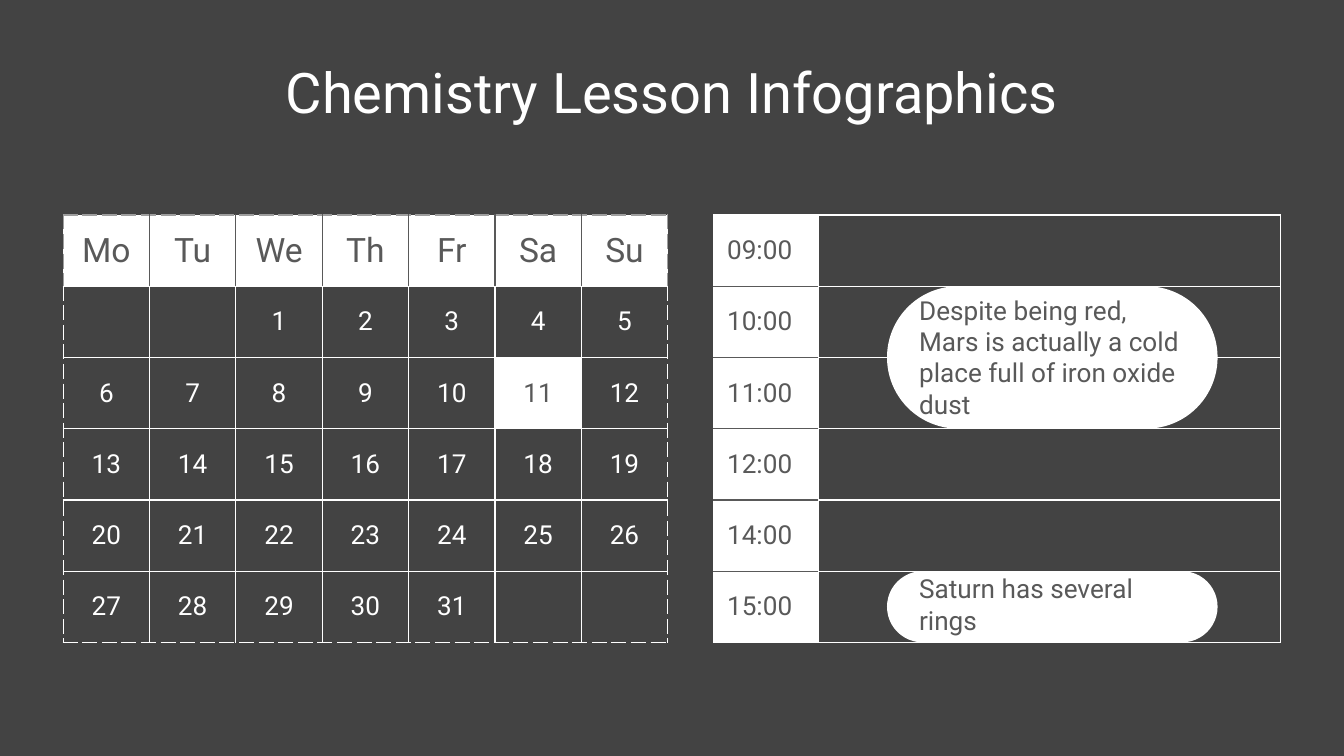
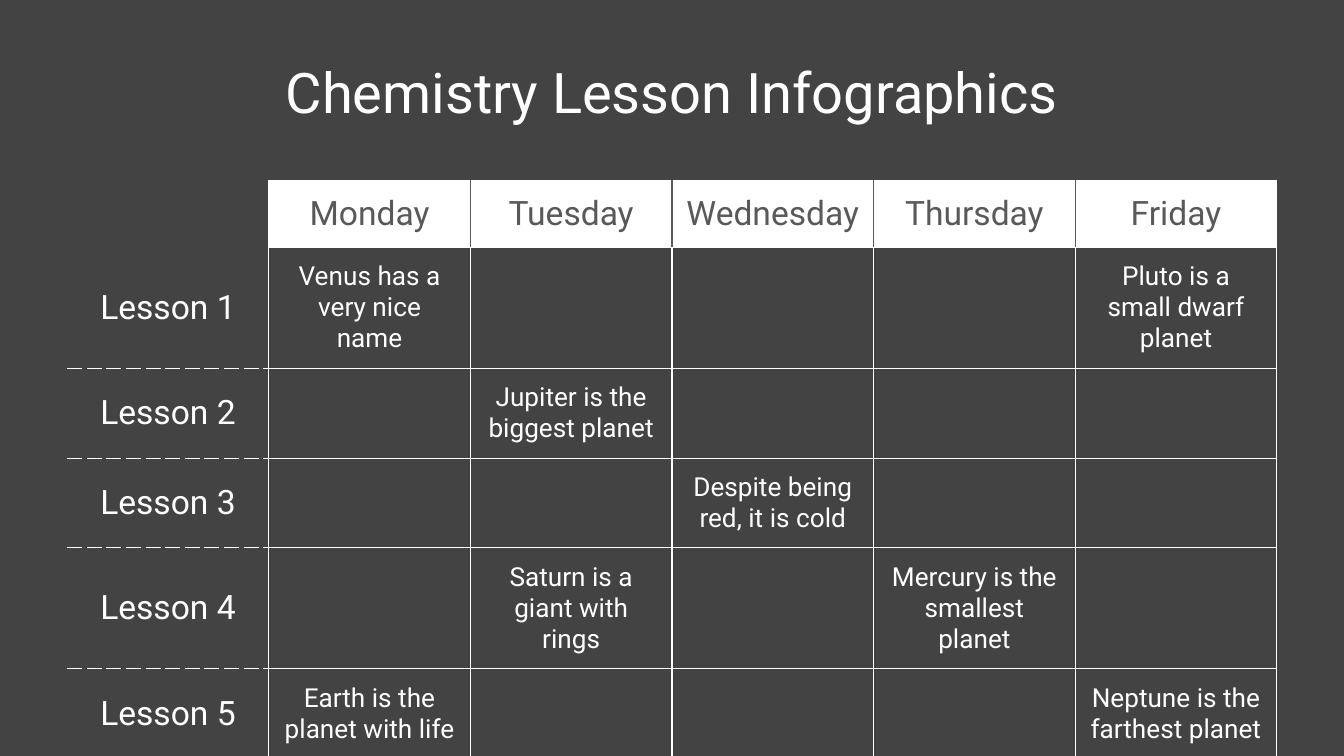
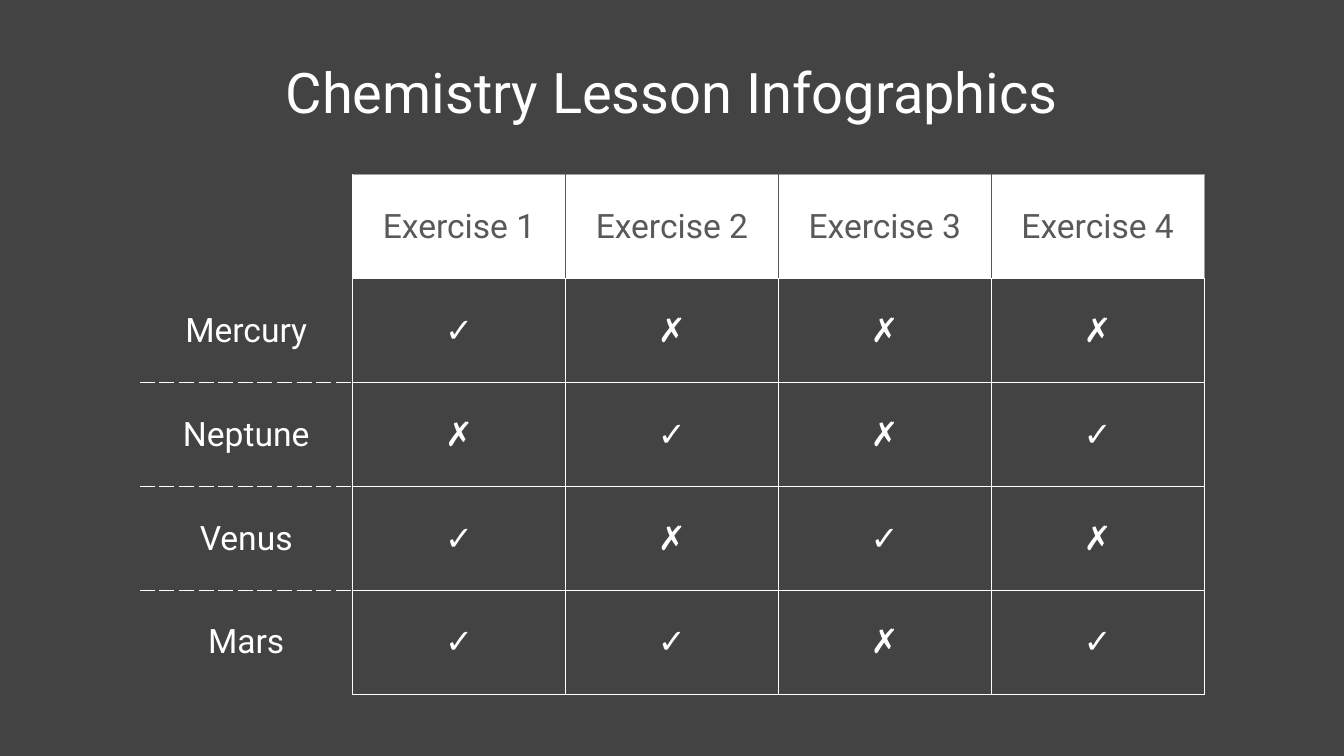
from lxml import etree
from pptx import Presentation
from pptx.dml.color import RGBColor
from pptx.enum.shapes import MSO_SHAPE
from pptx.enum.text import MSO_ANCHOR, PP_ALIGN
from pptx.oxml.ns import qn
from pptx.util import Inches, Pt

LEFT, CENTER = PP_ALIGN.LEFT, PP_ALIGN.CENTER
MIDDLE = MSO_ANCHOR.MIDDLE
ROUNDED = MSO_SHAPE.ROUNDED_RECTANGLE

FONT = "Roboto"
TITLE = "Chemistry Lesson Infographics"
INSET = Inches(0.1)
COLORS = {"background": "434343", "white": "FFFFFF", "dark": "595959", "grey": "9E9E9E"}

# Cell edges: colour name and dash preset
EDGES = {
    "white": ("white", "solid"),
    "white dash": ("white", "dash"),
    "dark": ("dark", "solid"),
    "grey": ("grey", "solid"),
    "grey dash": ("grey", "dash"),
}


def write_text(frame, text, size, color, align):
    frame.word_wrap = True
    para = frame.paragraphs[0]
    para.alignment = align
    span = para.add_run()
    span.text = text
    span.font.name = FONT
    span.font.size = Pt(size)
    span.font.color.rgb = RGBColor.from_string(COLORS[color])


def style_cell(cell, text, size, filled=False, align=CENTER,
               left="white", right="white", top="white", bottom="white"):
    cell.vertical_anchor = MIDDLE
    cell.margin_left = cell.margin_right = INSET
    cell.margin_top = cell.margin_bottom = INSET
    properties = cell._tc.get_or_add_tcPr()
    for tag, edge in (("lnL", left), ("lnR", right), ("lnT", top), ("lnB", bottom)):
        line = etree.SubElement(properties, qn(f"a:{tag}"), w=str(Pt(0.75)))
        if edge is None:
            etree.SubElement(line, qn("a:noFill"))
            continue
        color, dash = EDGES[edge]
        solid = etree.SubElement(line, qn("a:solidFill"))
        etree.SubElement(solid, qn("a:srgbClr"), val=COLORS[color])
        etree.SubElement(line, qn("a:prstDash"), val=dash)
    if filled:
        cell.fill.solid()
        cell.fill.fore_color.rgb = RGBColor.from_string(COLORS["white"])
    else:
        cell.fill.background()
    if text:
        write_text(cell.text_frame, text, size, "dark" if filled else "white", align)


# Widescreen deck with a shared background and title
deck = Presentation()
deck.slide_width = Inches(10)
deck.slide_height = deck.slide_width * 9 // 16
backdrop = deck.slide_master.background.fill
backdrop.solid()
backdrop.fore_color.rgb = RGBColor.from_string(COLORS["background"])

pages = [deck.slides.add_slide(deck.slide_layouts[6]) for _ in range(3)]
for page in pages:
    box = page.shapes.add_textbox(Inches(0.5), Inches(0.46), Inches(9), Inches(0.43))
    box.text_frame.vertical_anchor = MIDDLE
    box.text_frame.margin_top = box.text_frame.margin_bottom = INSET
    write_text(box.text_frame, TITLE, 30, "white", CENTER)

# Slide 1: day schedule
calendar_page = pages[0]
hours = ["09:00", "10:00", "11:00", "12:00", "14:00", "15:00"]
schedule = calendar_page.shapes.add_table(
    len(hours), 2, Inches(5.31), Inches(1.6), Inches(4.22), Inches(3.18)).table
schedule.first_row = schedule.horz_banding = False
schedule.columns[0].width, schedule.columns[1].width = Inches(0.78), Inches(3.44)
for row, hour in enumerate(hours):
    style_cell(schedule.cell(row, 0), hour, 14, filled=True, align=LEFT,
               top="dark" if row > 0 else "white",
               bottom="dark" if row < len(hours) - 1 else "white")
    style_cell(schedule.cell(row, 1), "", 14)

# Slide 1: month calendar, the 1st falling on a Wednesday
weekdays = ["Mo", "Tu", "We", "Th", "Fr", "Sa", "Su"]
first_column, last_day, marked_day = 2, 31, 11
calendar = calendar_page.shapes.add_table(
    6, 7, Inches(0.47), Inches(1.6), Inches(4.5), Inches(3.18)).table
calendar.first_row = calendar.horz_banding = False
for column, weekday in enumerate(weekdays):
    first, last = column == 0, column == 6
    style_cell(calendar.cell(0, column), weekday, 18, filled=True, top="grey dash",
               left="grey dash" if first else "dark",
               right="grey dash" if last else "dark")
    for row in range(1, 6):
        day = (row - 1) * 7 + column - first_column + 1
        style_cell(calendar.cell(row, column), str(day) if 1 <= day <= last_day else "", 14,
                   filled=day == marked_day,
                   left="white dash" if first else "white",
                   right="white dash" if last else "white",
                   bottom="white dash" if row == 5 else "white")

# Slide 1: events over the schedule (pill top and height, text top and height)
events = [
    ("Saturn has several rings", 4.25, 0.53, 4.28, 0.43),
    ("Despite being red, Mars is actually a cold place full of iron oxide dust",
     2.13, 1.06, 2.34, 0.63),
]
for text, pill_top, pill_height, text_top, text_height in events:
    event = calendar_page.shapes.add_group_shape()
    pill = event.shapes.add_shape(
        ROUNDED, Inches(6.6), Inches(pill_top), Inches(2.46), Inches(pill_height))
    pill.adjustments[0] = 0.5
    pill.shadow.inherit = False
    pill.fill.solid()
    pill.fill.fore_color.rgb = RGBColor.from_string(COLORS["white"])
    pill.line.fill.background()
    box = event.shapes.add_textbox(
        Inches(6.74), Inches(text_top), Inches(2.18), Inches(text_height))
    box.text_frame.vertical_anchor = MIDDLE
    box.text_frame.margin_top = box.text_frame.margin_bottom = INSET
    write_text(box.text_frame, text, 14, "dark", LEFT)

# Slides 2 and 3: tables with a header row and a label column
lessons = [
    ["", "Monday", "Tuesday", "Wednesday", "Thursday", "Friday"],
    ["Lesson 1", "Venus has a very nice name", "", "", "", "Pluto is a small dwarf planet"],
    ["Lesson 2", "", "Jupiter is the biggest planet", "", "", ""],
    ["Lesson 3", "", "", "Despite being red, it is cold", "", ""],
    ["Lesson 4", "", "Saturn is a giant with rings", "", "Mercury is the smallest planet", ""],
    ["Lesson 5", "Earth is the planet with life", "", "", "", "Neptune is the farthest planet"],
]
exercises = [
    ["", "Exercise 1", "Exercise 2", "Exercise 3", "Exercise 4"],
    ["Mercury", "✓", "✗", "✗", "✗"],
    ["Neptune", "✗", "✓", "✗", "✓"],
    ["Venus", "✓", "✗", "✓", "✗"],
    ["Mars", "✓", "✓", "✗", "✓"],
]
# Rows, left, top, width, height of all rows, frame height, body size, header's outer edge
grids = [
    (lessons, 0.5, 1.34, 9, 2.98, 3.83, 14, "white"),
    (exercises, 1.04, 1.3, 7.92, 3.87, 3.87, 18, "grey"),
]
for page, grid in zip(pages[1:], grids):
    rows, left, top, width, rows_height, frame_height, body_size, outer_edge = grid
    frame = page.shapes.add_table(len(rows), len(rows[0]), Inches(left), Inches(top),
                                  Inches(width), Inches(rows_height))
    frame.height = Inches(frame_height)
    table = frame.table
    table.first_row = table.horz_banding = False
    last_row, last_column = len(rows) - 1, len(rows[0]) - 1
    for row, texts in enumerate(rows):
        for column, text in enumerate(texts):
            cell = table.cell(row, column)
            if column == 0:
                style_cell(cell, text, 18, left=None,
                           top="white dash" if row > 1 else None,
                           bottom="white dash" if 0 < row < last_row else None)
            elif row == 0:
                style_cell(cell, text, 18, filled=True, top=outer_edge,
                           left="white" if column == 1 else "dark",
                           right=outer_edge if column == last_column else "dark")
            else:
                style_cell(cell, text, body_size)

deck.save("out.pptx")
